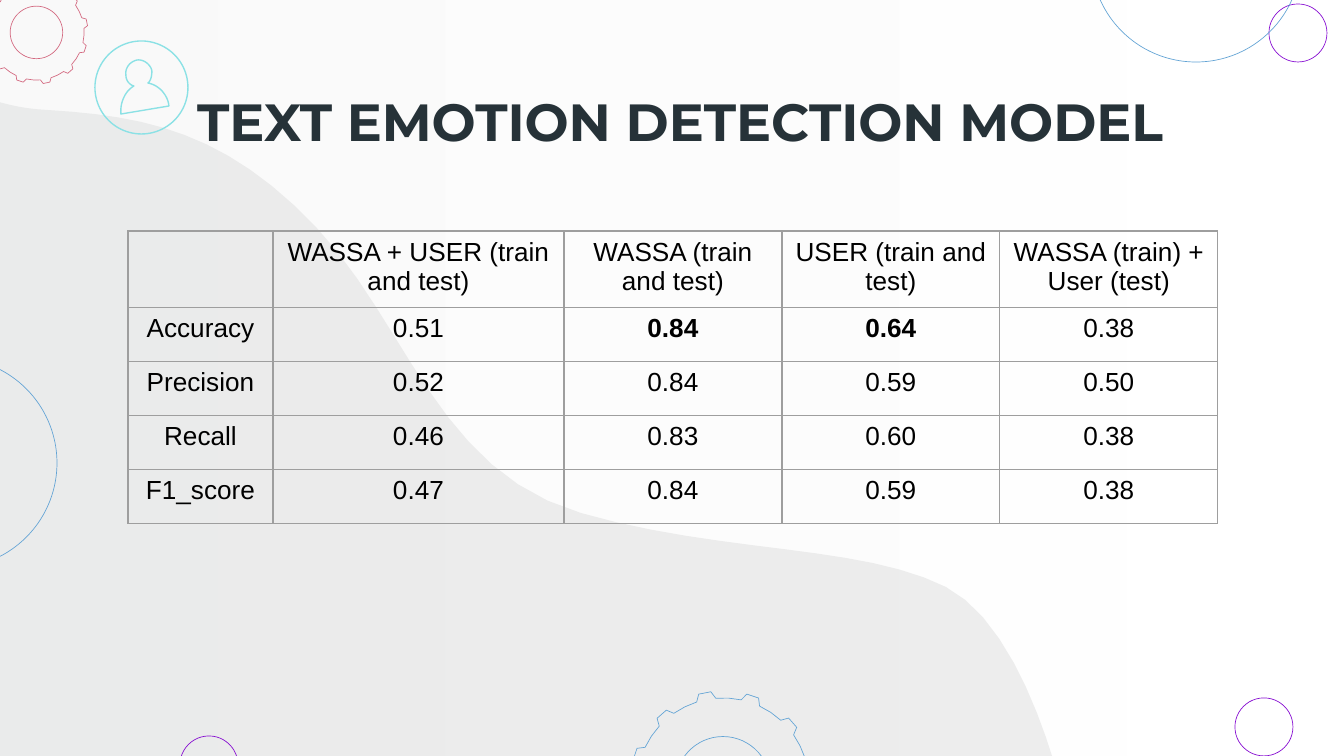
import math

import lxml.etree
import pptx
import pptx.dml.color
import pptx.enum.shapes
import pptx.enum.text
import pptx.oxml.ns
import pptx.util

EMU_PER_PX = 9144000 / 1344
COLORS = {
    "white": "FFFFFF", "mist": "F3F3F3", "wave": "D6D7D7", "blue": "63A4D5",
    "purple": "860CD1", "pink": "D36980", "aqua": "8BE1E5", "title": "263238",
    "text": "000000", "border": "9E9E9E",
}
ALPHA = "41000"
WAVE = [
    [(1113, 731), (1112, 721), (1074, 546), (992, 504)],
    [(992, 504), (907, 461), (769, 471), (627, 430)],
    [(627, 430), (484, 389), (453, 240), (362, 144)],
    [(362, 144), (272, 49), (192, 33), (94, 27)],
    [(94, 27), (51, 25), (23, 12), (0, 0)],
]
PERSON = [
    [(74, 65), (73, 54), (64, 44), (53, 42)],
    [(53, 42), (56, 40), (57, 34), (57, 30)],
    [(57, 30), (56, 24), (49, 18), (42, 19)],
    [(42, 19), (34, 21), (30, 28), (31, 34)],
    [(31, 34), (31, 40), (35, 44), (39, 45)],
    [(39, 45), (30, 50), (25, 62), (26, 73)],
]
CIRCLES = [
    ((-153, 358, 210, 210), "blue"),
    ((1269, 4, 58, 58), "purple"),
    ((1235, 698, 58, 58), "purple"),
    ((1091, -148, 210, 210), "blue"),
    ((180, 736, 58, 58), "purple"),
]
SCORES = [
    ["", "WASSA + USER (train and test)", "WASSA (train and test)",
     "USER (train and test)", "WASSA (train) + User (test)"],
    ["Accuracy", "0.51", "0.84", "0.64", "0.38"],
    ["Precision", "0.52", "0.84", "0.59", "0.50"],
    ["Recall", "0.46", "0.83", "0.60", "0.38"],
    ["F1_score", "0.47", "0.84", "0.59", "0.38"],
]
BEST_SCORES = {(1, 2), (1, 3)}
COLUMN_WIDTHS = [145, 291, 218, 218, 218]


def px(length):
    """Turn a length in px into EMU."""
    return pptx.util.Emu(round(length * EMU_PER_PX))


def rgb(name):
    """Return the named colour."""
    return pptx.dml.color.RGBColor.from_string(COLORS[name])


def set_alpha(shape):
    """Make every fill colour of the shape partly transparent."""
    for color in shape.fill._xPr.iter(pptx.oxml.ns.qn("a:srgbClr")):
        lxml.etree.SubElement(color, pptx.oxml.ns.qn("a:alpha"), val=ALPHA)


def outline(shape, color, width=0.36):
    """Leave the shape unfilled with a thin coloured line."""
    shape.shadow.inherit = False
    shape.fill.background()
    shape.line.color.rgb = rgb(color)
    shape.line.width = pptx.util.Pt(width)


def trace_curves(curves, steps=12):
    """Return points along a chain of cubic curves."""
    points = [curves[0][0]]
    for curve in curves:
        for step in range(1, steps + 1):
            t = step / steps
            weights = [(1 - t) ** 3, 3 * t * (1 - t) ** 2, 3 * t * t * (1 - t), t ** 3]
            points.append(tuple(
                sum(weight * point[axis] for weight, point in zip(weights, curve))
                for axis in (0, 1)))
    return points


def add_freeform(slide, box, contours):
    """Add closed contours whose points are relative to the box."""
    placed = [[(px(box[0] + x), px(box[1] + y)) for x, y in contour] for contour in contours]
    builder = slide.shapes.build_freeform(*placed[0][0])
    for index, contour in enumerate(placed):
        if index:
            builder.move_to(*contour[0])
        builder.add_line_segments(contour[1:], close=True)
    return builder.convert_to_shape()


def add_circle(slide, box, color, width=0.36):
    """Add an outlined circle filling the box."""
    circle = slide.shapes.add_shape(pptx.enum.shapes.MSO_SHAPE.OVAL, *map(px, box))
    outline(circle, color, width)


def add_backdrop(slide, box):
    """Add the pale gradient and the grey wave over it."""
    shade = slide.shapes.add_shape(pptx.enum.shapes.MSO_SHAPE.RECTANGLE, *map(px, box))
    shade.fill.gradient()
    shade.fill.gradient_angle = 180
    for stop, color in zip(shade.fill.gradient_stops, ("white", "mist")):
        stop.color.rgb = rgb(color)
    left, top, width, height = box
    wave_box = (left - 37, top + 92, 1113, 731)
    wave = add_freeform(slide, wave_box, [[(0, 0), (0, 731)] + trace_curves(WAVE)])
    wave.fill.solid()
    wave.fill.fore_color.rgb = rgb("wave")
    for shape in (shade, wave):
        shape.shadow.inherit = False
        shape.line.fill.background()
        set_alpha(shape)


def add_gear(slide, box, color, teeth=12):
    """Add an outlined gear with a round hole, filling the box."""
    radius = box[2] / 2

    def polar(ratio, degrees):
        angle = math.radians(degrees)
        return (radius * (1 + ratio * math.cos(angle)), radius * (1 + ratio * math.sin(angle)))

    profile = [(0.925, -6.5), (1, -3.8), (1, 3.8), (0.925, 6.5), (0.925, 15)]
    pitch = 360 / teeth
    rim = [polar(ratio, 18.7 + tooth * pitch + turn)
           for tooth in range(teeth) for ratio, turn in profile]
    hole = [polar(0.51, degrees) for degrees in range(0, 360, 6)]
    outline(add_freeform(slide, box, [rim, hole]), color)


def add_person_icon(slide, box):
    """Add a ringed person outline."""
    add_circle(slide, box, "aqua", 0.75)
    outline(add_freeform(slide, box, [trace_curves(PERSON)]), "aqua", 0.75)


def add_title(slide, box, text):
    """Add the centred heading."""
    frame = slide.shapes.add_textbox(*map(px, box)).text_frame
    frame.word_wrap = True
    frame.vertical_anchor = pptx.enum.text.MSO_ANCHOR.MIDDLE
    frame.margin_top = frame.margin_bottom = pptx.util.Inches(0.1)
    frame.text = text
    paragraph = frame.paragraphs[0]
    paragraph.alignment = pptx.enum.text.PP_ALIGN.CENTER
    font = paragraph.runs[0].font
    font.name, font.size, font.bold = "Montserrat", pptx.util.Pt(28), True
    font.color.rgb = rgb("title")


def format_cell(cell, text, bold):
    """Write one bordered, unfilled cell."""
    properties = cell._tc.get_or_add_tcPr()
    for side in ("a:lnL", "a:lnR", "a:lnT", "a:lnB"):
        line = lxml.etree.SubElement(
            properties, pptx.oxml.ns.qn(side), w=str(pptx.util.Pt(0.75)))
        fill = lxml.etree.SubElement(line, pptx.oxml.ns.qn("a:solidFill"))
        lxml.etree.SubElement(fill, pptx.oxml.ns.qn("a:srgbClr"), val=COLORS["border"])
    cell.fill.background()
    cell.text_frame.text = text
    paragraph = cell.text_frame.paragraphs[0]
    paragraph.alignment = pptx.enum.text.PP_ALIGN.CENTER
    for run in paragraph.runs:
        run.font.name, run.font.size, run.font.bold = "Arial", pptx.util.Pt(14), bold
        run.font.color.rgb = rgb("text")


def add_score_table(slide, box):
    """Add the table of scores per training set."""
    table = slide.shapes.add_table(len(SCORES), len(COLUMN_WIDTHS), *map(px, box)).table
    table.first_row = table.horz_banding = False
    for column, width in zip(table.columns, COLUMN_WIDTHS):
        column.width = px(width)
    for row_index, row in enumerate(SCORES):
        for column_index, text in enumerate(row):
            format_cell(table.cell(row_index, column_index), text,
                        (row_index, column_index) in BEST_SCORES)


def main():
    """Build and save the slide."""
    presentation = pptx.Presentation()
    presentation.slide_width, presentation.slide_height = px(1344), px(756)
    slide = presentation.slides.add_slide(presentation.slide_layouts[6])
    add_backdrop(slide, (-9, -9, 1363, 775))
    for box, color in CIRCLES:
        add_circle(slide, box, color)
    add_gear(slide, (-15, -19, 103, 103), "pink")
    add_gear(slide, (630, 691, 186, 186), "blue")
    add_title(slide, (113, 94, 1134, 54), "TEXT EMOTION DETECTION MODEL")
    add_person_icon(slide, (95, 41, 93, 93))
    add_score_table(slide, (128, 231, sum(COLUMN_WIDTHS), 270))
    presentation.save("out.pptx")


if __name__ == "__main__":
    main()
